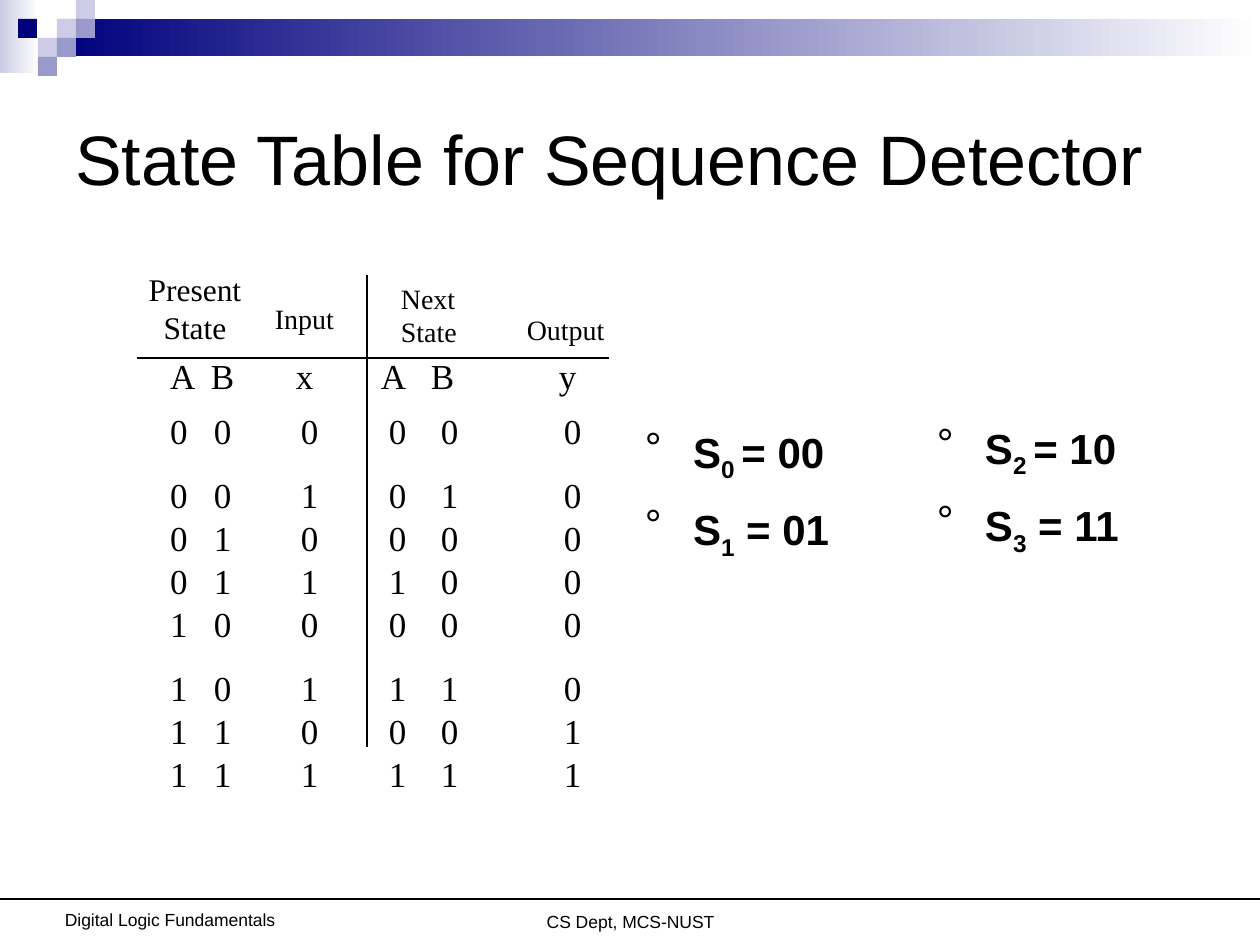
from lxml import etree
from pptx import Presentation
from pptx.dml.color import RGBColor
from pptx.enum.shapes import MSO_CONNECTOR, MSO_SHAPE
from pptx.enum.text import MSO_ANCHOR, PP_ALIGN
from pptx.oxml.ns import qn
from pptx.util import Emu, Pt

RECT = MSO_SHAPE.RECTANGLE
STRAIGHT = MSO_CONNECTOR.STRAIGHT
TOP, MIDDLE, BOTTOM = MSO_ANCHOR.TOP, MSO_ANCHOR.MIDDLE, MSO_ANCHOR.BOTTOM
LEFT, CENTER = PP_ALIGN.LEFT, PP_ALIGN.CENTER
PX = 914400 / 126
THEME = {
    "ink": "000000", "paper": "FFFFFF",
    "navy": "00007D", "violet": "9999CC", "lilac": "CCCCE6",
    "sans": "Arial", "serif": "Times New Roman",
    "title": 40, "codes": 24, "values": 20, "present": 18, "heading": 16, "footer": 10,
}


def px(*lengths):
    return [Emu(round(length * PX)) for length in lengths]


def write(frame, lines, size, font="sans", bold=False, align=LEFT, anchor=TOP,
          bullet=None, spacing=None, gap=0):
    frame.word_wrap = True
    frame.vertical_anchor = anchor
    for i, line in enumerate(lines):
        paragraph = frame.paragraphs[0] if i == 0 else frame.add_paragraph()
        paragraph.alignment = align
        if spacing:
            paragraph.line_spacing = spacing
        paragraph.space_before = Pt(gap if i else 0)
        if bullet:
            properties = paragraph._p.get_or_add_pPr()
            indent = px(48)[0]
            properties.set("marL", str(indent))
            properties.set("indent", str(-indent))
            color = etree.SubElement(properties, qn("a:buClr"))
            etree.SubElement(color, qn("a:srgbClr"), val=THEME["ink"])
            etree.SubElement(properties, qn("a:buFont"), typeface=THEME[font])
            etree.SubElement(properties, qn("a:buChar"), char=bullet)
        for part in [line] if isinstance(line, str) else line:
            text, baseline = (part, 0) if isinstance(part, str) else part
            run = paragraph.add_run()
            run.text = text
            run.font.size = Pt(THEME[size])
            run.font.name = THEME[font]
            run.font.bold = bold
            run.font.color.rgb = RGBColor.from_string(THEME["ink"])
            if baseline:
                run._r.get_or_add_rPr().set("baseline", str(baseline))


deck = Presentation()
deck.slide_width, deck.slide_height = px(1260, 945)
slide = deck.slides.add_slide(deck.slide_layouts[6])
shapes = slide.shapes

bands = [(0, 0, 39, 73, "lilac"), (57, 19, 1203, 37, "navy")]
squares = [(57, 19, "lilac"), (76, 0, "lilac"), (76, 19, "violet"), (38, 38, "lilac"),
           (18, 19, "navy"), (57, 38, "violet"), (38, 57, "violet")]
for x, y, w, h, tone in bands + [(x, y, 19, 19, tone) for x, y, tone in squares]:
    block = shapes.add_shape(RECT, *px(x, y, w, h))
    block.shadow.inherit = False
    block.line.fill.background()
    if (x, y, w, h, tone) in bands:
        block.fill.gradient()
        block.fill.gradient_angle = 0
        for stop, shade in zip(block.fill.gradient_stops, (tone, "paper")):
            stop.color.rgb = RGBColor.from_string(THEME[shade])
    else:
        block.fill.solid()
        block.fill.fore_color.rgb = RGBColor.from_string(THEME[tone])

title = shapes.add_textbox(*px(63, 63, 1134, 189))
write(title.text_frame, ["State Table for Sequence Detector"], "title", anchor=MIDDLE)

for x, y, w, label in [(368, 905, 525, "CS Dept, MCS-NUST"),
                       (44, 904, 252, "Digital Logic Fundamentals")]:
    footer = shapes.add_textbox(*px(x, y, w, 32))
    write(footer.text_frame, [label], "footer", align=CENTER, anchor=MIDDLE)

edges = [137, 203, 253, 367, 425, 500, 609]
row_heights = [92, 51, 43, 64, 43, 43, 43, 64, 43, 43]
state_table = shapes.add_table(len(row_heights), len(edges) - 1,
                               *px(edges[0], 266, edges[-1] - edges[0], sum(row_heights))).table
state_table.first_row = state_table.horz_banding = False
for column, start, end in zip(state_table.columns, edges, edges[1:]):
    column.width = px(end - start)[0]
for row, height in zip(state_table.rows, row_heights):
    row.height = px(height)[0]
for cell in state_table.iter_cells():
    cell.fill.background()
    cell.margin_left = cell.margin_right = cell.margin_top = cell.margin_bottom = 0

for first in (0, 3):
    state_table.cell(0, first).merge(state_table.cell(0, first + 1))
headings = [(0, ["Present", "State"], "present", CENTER, 0, 12),
            (2, ["Input"], "heading", LEFT, 22, 22),
            (3, ["Next", "State"], "heading", LEFT, 34, 9),
            (5, ["Output"], "heading", LEFT, 27, 11)]
for col, lines, size, align, indent, lift in headings:
    heading = state_table.cell(0, col)
    heading.margin_left, heading.margin_bottom = px(indent, lift)
    write(heading.text_frame, lines, size, "serif", align=align, gap=1.5)
    heading.vertical_anchor = BOTTOM

symbol_lefts = [170, 211, 296, 381, 431, 559]
value_lefts = [170, 214, 301, 389, 441, 564]
transitions = ["ABxABy", "000000", "001010", "010000", "011100",
               "100000", "101110", "110001", "111111"]
for row, values in enumerate(transitions, 1):
    lefts = symbol_lefts if row == 1 else value_lefts
    for col, value in enumerate(values):
        cell = state_table.cell(row, col)
        cell.margin_left = px(lefts[col] - edges[col])[0]
        write(cell.text_frame, [value], "values", "serif")
        cell.vertical_anchor = TOP if row == 1 else BOTTOM

for x1, y1, x2, y2, weight in [(0, 899, 1260, 899, 0.75),
                               (137, 358, 609, 358, 1),
                               (367, 275, 367, 747, 1)]:
    rule = shapes.add_connector(STRAIGHT, *px(x1, y1, x2, y2))
    rule.line.width = Pt(weight)
    rule.line.color.rgb = RGBColor.from_string(THEME["ink"])
    etree.SubElement(rule._element.spPr, qn("a:effectLst"))

for x, y, codes in [(636, 430, [["S", ("0 ", -25000), "= 00"], ["S", ("1", -25000), " = 01"]]),
                    (928, 426, [["S", ("2 ", -25000), "= 10"], ["S", ("3", -25000), " = 11"]])]:
    state_codes = shapes.add_textbox(*px(x, y, 230, 127))
    frame = state_codes.text_frame
    frame.margin_left, frame.margin_right, frame.margin_top, frame.margin_bottom = px(9, 9, 4, 4)
    write(frame, codes, "codes", bold=True, bullet="°", spacing=0.75, gap=19.5)

deck.save("out.pptx")
